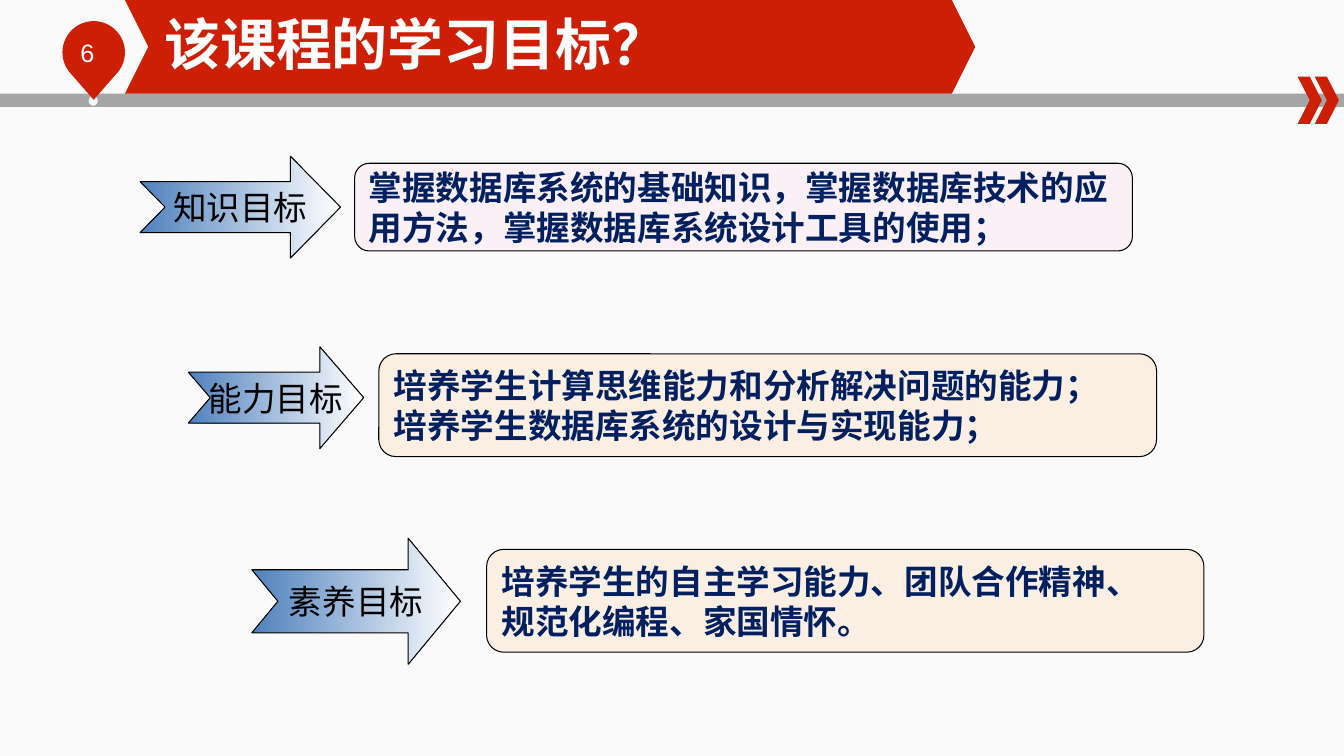
import math

import pptx
import pptx.dml.color
import pptx.enum.shapes
import pptx.enum.text
import pptx.oxml
import pptx.oxml.ns
import pptx.util

RGB = pptx.dml.color.RGBColor
KIND = pptx.enum.shapes.MSO_SHAPE
ALIGN = pptx.enum.text.PP_ALIGN
MIDDLE = pptx.enum.text.MSO_ANCHOR.MIDDLE
NONE = pptx.enum.text.MSO_AUTO_SIZE.NONE
PX = pptx.util.Inches(1) // 100

RED = RGB(0xCD, 0x1F, 0x06)
GRAY = RGB(0xA5, 0xA5, 0xA5)
PALE = RGB(0xF6, 0xF6, 0xF6)
WHITE = RGB(0xFF, 0xFF, 0xFF)
BLACK = RGB(0, 0, 0)
NAVY = RGB(0x00, 0x20, 0x60)
BLUE = RGB(0x4F, 0x81, 0xBD)
PEACH = RGB(0xFF, 0xCC, 0x99)
PINK = RGB(0xFF, 0x99, 0xCC)
TOP = RGB(0xFA, 0xFA, 0xFA)
BASE = RGB(0xFC, 0xFC, 0xFC)

HEAD = {"name": "Noto Sans CJK SC", "size": pptx.util.Pt(40), "bold": True}
PAGE = {"name": "Arial", "size": pptx.util.Pt(18)}
LABEL = {"name": "DejaVu Sans", "size": pptx.util.Pt(24)}
BODY = {"name": "Arial", "size": pptx.util.Pt(24), "bold": True}

GOALS = [
    ("知识目标", (139, 155, 199, 101), (352, 162, 772, 87), PINK, 10,
     ["掌握数据库系统的基础知识，掌握数据库技术的应",
      "用方法，掌握数据库系统设计工具的使用；"]),
    ("能力目标", (187, 344, 174, 101), (376, 351, 772, 102), PEACH, 22,
     ["培养学生计算思维能力和分析解决问题的能力；",
      "培养学生数据库系统的设计与实现能力；"]),
    ("素养目标", (250, 534, 207, 125), (483, 545, 712, 102), PEACH, 22,
     ["培养学生的自主学习能力、团队合作精神、",
      "规范化编程、家国情怀。"]),
]


def scale(box):
    return [n * PX for n in box]


def blend(fill, first, last, angle):
    fill.gradient()
    fill.gradient_angle = angle
    for stop, color in zip(fill.gradient_stops, (first, last)):
        stop.color.rgb = color


def paint(shape, color):
    shape.shadow.inherit = False
    shape.fill.solid()
    shape.fill.fore_color.rgb = color
    shape.line.fill.background()


def edge(shape):
    shape.line.color.rgb = BLACK
    shape.line.width = pptx.util.Pt(0.75)


def write(shape, lines, style, color, align=ALIGN.LEFT, **frame):
    text = shape.text_frame
    for key, value in frame.items():
        setattr(text, key, value)
    text.text = "\n".join(lines)
    for para in text.paragraphs:
        para.alignment = align
        for run in para.runs:
            for key, value in style.items():
                setattr(run.font, key, value)
            run.font.color.rgb = color
            east = pptx.oxml.parse_xml(
                f'<a:ea {pptx.oxml.ns.nsdecls("a")} typeface="{style["name"]}"/>')
            run.font._element.find(pptx.oxml.ns.qn("a:latin")).addnext(east)


def add_plain(slide, kind, box, color):
    shape = slide.shapes.add_shape(kind, *scale(box))
    paint(shape, color)
    return shape


def add_pin(slide, x, y, radius, tip):
    turns = [math.radians(a) for a in range(135, 406, 5)]
    points = [(x + radius * math.cos(t), y + radius * math.sin(t)) for t in turns]
    path = slide.shapes.build_freeform(x * PX, tip * PX)
    path.add_line_segments([(round(a * PX), round(b * PX)) for a, b in points])
    paint(path.convert_to_shape(), RED)


def add_arrow(slide, box, label):
    shape = add_plain(slide, KIND.NOTCHED_RIGHT_ARROW, box, BLUE)
    shape.adjustments[0] = 0.5
    shape.adjustments[1] = box[2] / box[3] / 4
    blend(shape.fill, BLUE, WHITE, 0)
    edge(shape)
    write(shape, [label], LABEL, BLACK, ALIGN.CENTER,
          word_wrap=False, vertical_anchor=MIDDLE)


def add_card(slide, box, color, alpha, lines):
    shape = add_plain(slide, KIND.ROUNDED_RECTANGLE, box, color)
    tint = pptx.oxml.parse_xml(
        f'<a:alpha {pptx.oxml.ns.nsdecls("a")} val="{alpha * 1000}"/>')
    shape.fill._xPr.find(".//" + pptx.oxml.ns.qn("a:srgbClr")).append(tint)
    edge(shape)
    write(shape, lines, BODY, NAVY, word_wrap=True, vertical_anchor=MIDDLE)


def add_title(slide, box, words):
    title = slide.shapes.title
    title.left, title.top, title.width, title.height = scale(box)
    write(title, [words], HEAD, WHITE, auto_size=NONE, word_wrap=True,
          vertical_anchor=MIDDLE, margin_left=0, margin_right=0,
          margin_top=0, margin_bottom=0)
    slide.shapes._spTree.append(title._element)


def main():
    deck = pptx.Presentation()
    deck.slide_width, deck.slide_height = scale((1334, 750))
    slide = deck.slides.add_slide(deck.slide_layouts[5])
    blend(slide.background.fill, TOP, BASE, 270)

    add_plain(slide, KIND.RECTANGLE, (0, 93, 1334, 13), GRAY)
    add_plain(slide, KIND.OVAL, (88, 95, 9, 10), PALE)
    add_pin(slide, 93, 52, 31, 99)
    page = slide.shapes.add_textbox(*scale((70, 32, 76, 40)))
    write(page, ["6"], PAGE, WHITE, word_wrap=True)
    for left in (1288, 1305):
        add_plain(slide, KIND.CHEVRON, (left, 76, 24, 47), RED)
    banner = add_plain(slide, KIND.CHEVRON, (124, 0, 844, 93), RED)
    banner.adjustments[0] = 0.25
    add_title(slide, (163, 9, 661, 67), "该课程的学习目标？")

    for label, arrow, card, color, alpha, lines in GOALS:
        add_arrow(slide, arrow, label)
        add_card(slide, card, color, alpha, lines)
    deck.save("out.pptx")


if __name__ == "__main__":
    main()
